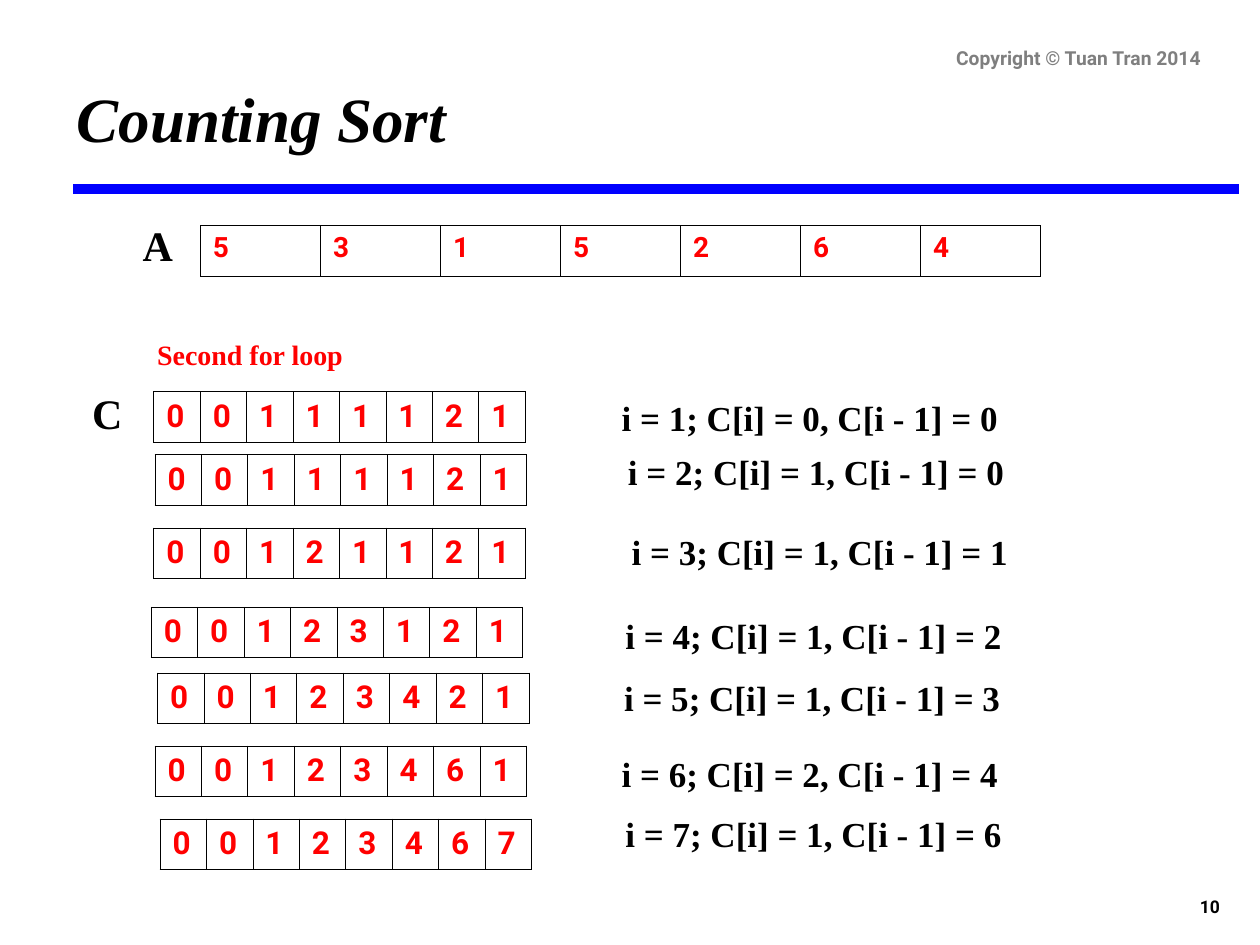
from lxml import etree
from pptx import Presentation, util as u
from pptx.dml.color import RGBColor
from pptx.enum import shapes, text
from pptx.oxml.ns import qn

# Content
TITLE = "Counting Sort"
COPYRIGHT = "Copyright © Tuan Tran 2014"
PAGE_NUMBER = "10"
LOOP_NAME = "Second for loop"
ARRAY_A = [5, 3, 1, 5, 2, 6, 4]
COUNTS_C = [0, 0, 1, 1, 1, 1, 2, 1]

# For each pass of the loop: left and top of the array, left and top of the note
PASS_PLACES = [
    (1.22, 3.11, 4.19, 3.10),
    (1.23, 3.61, 4.24, 3.53),
    (1.22, 4.19, 4.27, 4.16),
    (1.20, 4.82, 4.22, 4.83),
    (1.25, 5.34, 4.21, 5.32),
    (1.23, 5.92, 4.19, 5.92),
    (1.27, 6.50, 4.22, 6.40),
]

THEME = {
    "serif": "Times New Roman", "sans": "Roboto",
    "black": "000000", "red": "FF0000", "gray": "7F7F7F", "blue": "0000FF",
    "title": 36, "label": 24, "note": 20, "count": 18, "value": 16,
    "copyright": 11, "page": 10, "rule": 6, "border": 0.45,
}
LEFT, RIGHT = text.PP_ALIGN.LEFT, text.PP_ALIGN.RIGHT
TOP, BOTTOM = text.MSO_ANCHOR.TOP, text.MSO_ANCHOR.BOTTOM
ROW_HEIGHT = 0.4


def add_run(para, words, size, face, color, italic=False):
    span = para.add_run()
    span.text = words
    span.font.size = u.Pt(THEME[size])
    span.font.name = THEME[face]
    span.font.color.rgb = RGBColor.from_string(THEME[color])
    span.font.bold = True
    span.font.italic = italic


def add_text(page, place, words, size, face="serif", color="black",
             align=RIGHT, anchor=TOP, wrap=True, italic=False):
    box = page.shapes.add_textbox(*map(u.Inches, place))
    box.text_frame.word_wrap = wrap
    box.text_frame.vertical_anchor = anchor
    para = box.text_frame.paragraphs[0]
    para.alignment = align
    add_run(para, words, size, face, color, italic)


def add_borders(cell):
    properties = cell._tc.get_or_add_tcPr()
    for side in ("lnL", "lnR", "lnT", "lnB"):
        line = etree.SubElement(properties, qn(f"a:{side}"),
                                w=str(u.Pt(THEME["border"])))
        fill = etree.SubElement(line, qn("a:solidFill"))
        etree.SubElement(fill, qn("a:srgbClr"), val=THEME["black"])


def add_array(page, left, top, width, values, size):
    frame = page.shapes.add_table(1, len(values), *map(
        u.Inches, (left, top, width, ROW_HEIGHT)))
    table = frame.table
    table.first_row = table.horz_banding = False
    for column, value in enumerate(values):
        table.columns[column].width = u.Inches(width / len(values))
        cell = table.cell(0, column)
        add_borders(cell)
        cell.fill.background()
        add_run(cell.text_frame.paragraphs[0], str(value), size, "sans", "red")


def main():
    deck = Presentation()
    deck.slide_width, deck.slide_height = u.Inches(10), u.Inches(7.5)
    page = deck.slides.add_slide(deck.slide_layouts[6])

    # Header, rule and page number
    add_text(page, (7.7, 6.83, 2.08, 0.5), PAGE_NUMBER, "page", "sans",
             anchor=BOTTOM)
    add_text(page, (0.51, 0.58, 3.13, 1.3), TITLE, "title", align=LEFT,
             wrap=False, italic=True)
    rule = page.shapes.add_connector(shapes.MSO_CONNECTOR.STRAIGHT, *map(
        u.Inches, (0.58, 1.5, 9.83, 1.5)))
    rule.line.color.rgb = RGBColor.from_string(THEME["blue"])
    rule.line.width = u.Pt(THEME["rule"])
    etree.SubElement(rule._element.spPr, qn("a:effectLst"))
    add_text(page, (6.46, 0.33, 3.17, 0.27), COPYRIGHT, "copyright", "sans",
             "gray", anchor=BOTTOM)

    # Input array
    add_text(page, (0.97, 1.69, 0.5, 0.5), "A", "label")
    add_array(page, 1.59, 1.79, 6.67, ARRAY_A, "value")

    # Running sums: each pass adds the count before it
    add_text(page, (0.61, 2.63, 2.21, 0.37), LOOP_NAME, "value", color="red")
    add_text(page, (0.57, 3.03, 0.5, 0.5), "C", "label")
    counts = list(COUNTS_C)
    for i, (left, top, note_left, note_top) in enumerate(PASS_PLACES, start=1):
        note = f"i = {i}; C[i] = {counts[i]}, C[i - 1] = {counts[i - 1]}"
        add_text(page, (note_left, note_top, 3.83, 0.44), note, "note")
        counts[i] += counts[i - 1]
        add_array(page, left, top, 2.95, counts, "count")

    deck.save("out.pptx")


if __name__ == "__main__":
    main()
